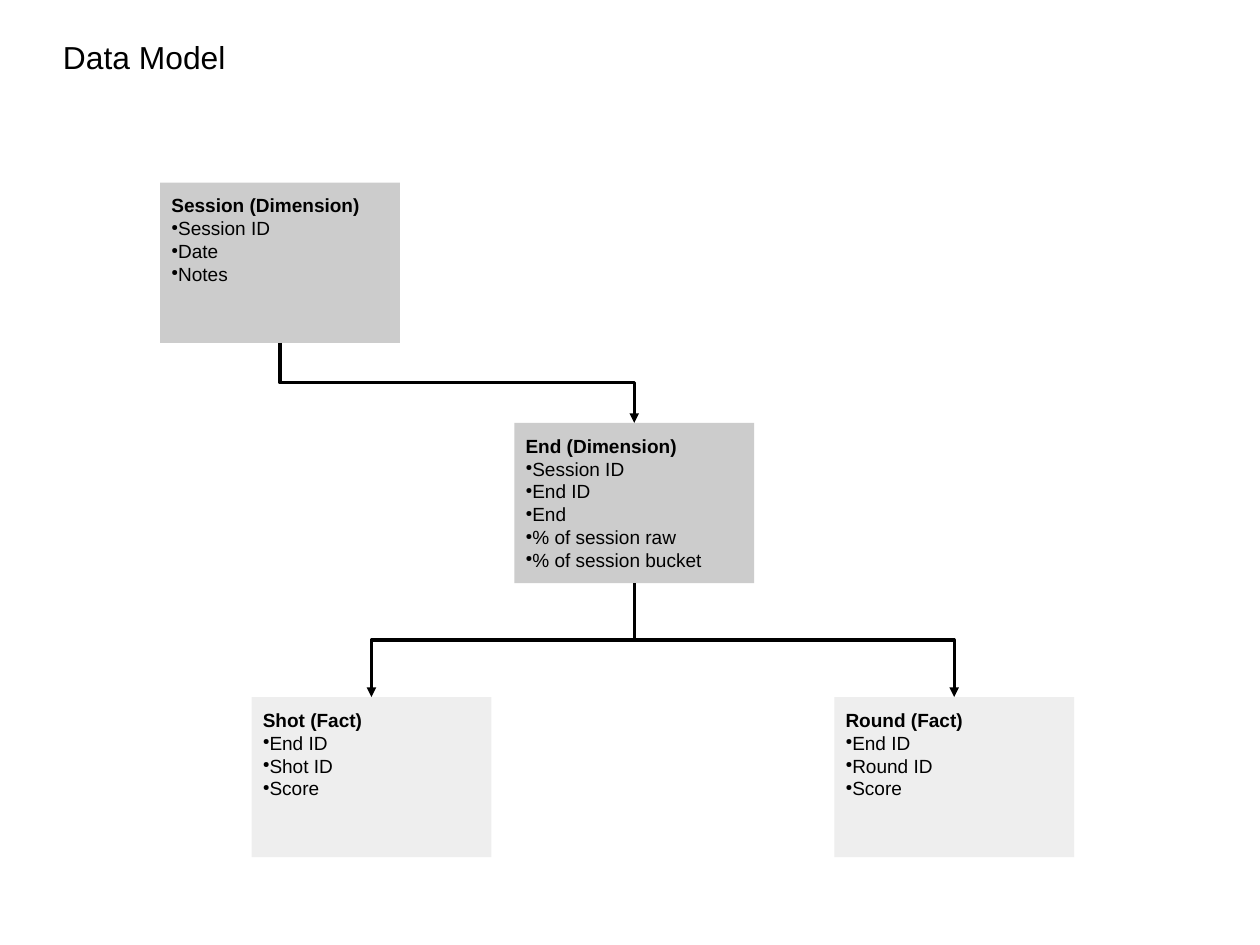
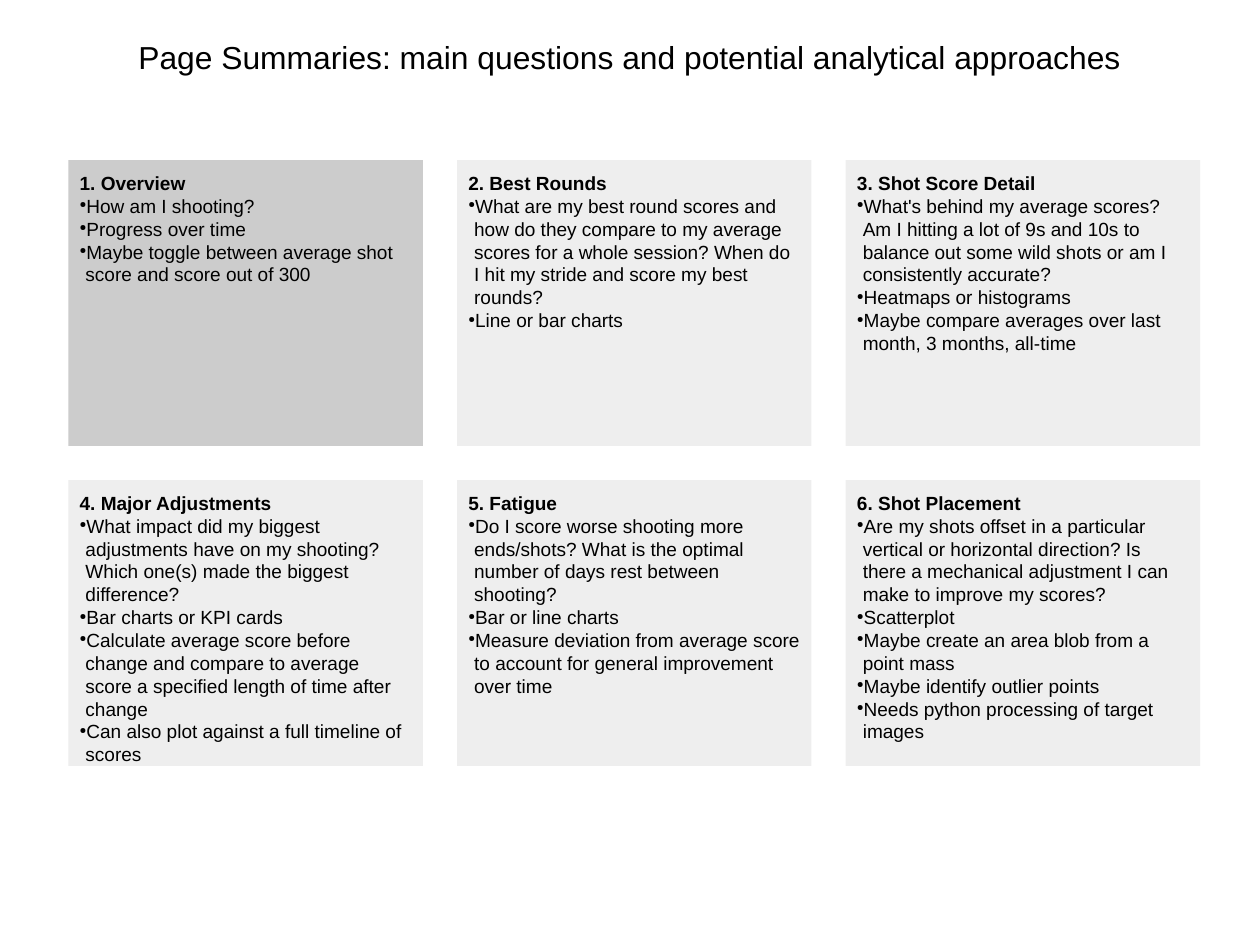
from lxml.etree import SubElement
from pptx import Presentation
from pptx.dml.color import RGBColor
from pptx.enum.shapes import MSO_CONNECTOR, MSO_SHAPE
from pptx.enum.text import MSO_ANCHOR, PP_ALIGN as ALIGN
from pptx.oxml.ns import qn
from pptx.util import Cm, Pt

FONT = "Arial"
BLACK, DARK_GREY, LIGHT_GREY = "000000", "CCCCCC", "EEEEEE"
SLIDE_SIZE = 28, 21
TITLE_BOX = 1.4, 0.84, 25.2, 3.5
INSET, HANGING = 0.25, 0.13
BOTTOM, TOP = 2, 0

# Data model: heading, fill, left, top, fields
ENTITY_SIZE = 5.33, 3.56
ENTITIES = {
    "Session": ("Session (Dimension)", DARK_GREY, 3.56, 4.06,
                ["Session ID", "Date", "Notes"]),
    "End": ("End (Dimension)", DARK_GREY, 11.43, 9.4,
            ["Session ID", "End ID", "End", "% of session raw",
             "% of session bucket"]),
    "Shot": ("Shot (Fact)", LIGHT_GREY, 5.59, 15.49,
             ["End ID", "Shot ID", "Score"]),
    "Round": ("Round (Fact)", LIGHT_GREY, 18.54, 15.49,
              ["End ID", "Round ID", "Score"]),
}
RELATIONS = [("Session", "End"), ("End", "Shot"), ("End", "Round")]

# Page summaries, in reading order
GRID_BOX = 1.52, 3.56, 25.15, 13.46
GRID_COLUMNS, GRID_ROWS, GRID_GAP = 3, 2, 0.76
PAGES = [
    ("Overview", ["How am I shooting?", "Progress over time",
                  "Maybe toggle between average shot score and score out of 300"]),
    ("Best Rounds", [
        "What are my best round scores and how do they compare to my average "
        "scores for a whole session? When do I hit my stride and score my best "
        "rounds?",
        "Line or bar charts"]),
    ("Shot Score Detail", [
        "What's behind my average scores? Am I hitting a lot of 9s and 10s to "
        "balance out some wild shots or am I consistently accurate?",
        "Heatmaps or histograms",
        "Maybe compare averages over last month, 3 months, all-time"]),
    ("Major Adjustments", [
        "What impact did my biggest adjustments have on my shooting? Which "
        "one(s) made the biggest difference?",
        "Bar charts or KPI cards",
        "Calculate average score before change and compare to average score a "
        "specified length of time after change",
        "Can also plot against a full timeline of scores"]),
    ("Fatigue", [
        "Do I score worse shooting more ends/shots? What is the optimal number "
        "of days rest between shooting?",
        "Bar or line charts",
        "Measure deviation from average score to account for general "
        "improvement over time"]),
    ("Shot Placement", [
        "Are my shots offset in a particular vertical or horizontal direction? "
        "Is there a mechanical adjustment I can make to improve my scores?",
        "Scatterplot",
        "Maybe create an area blob from a point mass",
        "Maybe identify outlier points",
        "Needs python processing of target images"]),
]


def color(hex_text):
    return RGBColor.from_string(hex_text)


def lengths(box):
    return [Cm(value) for value in box]


def add_bullet(paragraph):
    properties = paragraph._p.get_or_add_pPr()
    properties.set("marL", str(Cm(HANGING)))
    properties.set("indent", str(-Cm(HANGING)))
    bullet_color = SubElement(properties, qn("a:buClr"))
    SubElement(bullet_color, qn("a:srgbClr"), val=BLACK)
    SubElement(properties, qn("a:buSzPct"), val="45000")
    SubElement(properties, qn("a:buChar"), char="●")


def write(paragraph, text, size=12, bold=False, align=ALIGN.LEFT, bullet=False):
    paragraph.alignment = align
    if bullet:
        add_bullet(paragraph)
    run = paragraph.add_run()
    run.text = text
    run.font.name, run.font.size, run.font.bold = FONT, Pt(size), bold
    run.font.color.rgb = color(BLACK)


def prepare_frame(shape, inset):
    frame = shape.text_frame
    frame.word_wrap = True
    frame.vertical_anchor = MSO_ANCHOR.TOP
    frame.margin_left = frame.margin_right = Cm(inset)
    frame.margin_top = frame.margin_bottom = Cm(inset)
    return frame


def add_titled_slide(presentation, title, align=ALIGN.LEFT):
    slide = presentation.slides.add_slide(presentation.slide_layouts[6])
    frame = prepare_frame(slide.shapes.add_textbox(*lengths(TITLE_BOX)), 0)
    write(frame.paragraphs[0], title, size=20, align=align)
    return slide


def add_card(slide, box, heading, items, fill):
    card = slide.shapes.add_shape(MSO_SHAPE.RECTANGLE, *lengths(box))
    card.shadow.inherit = False
    card.fill.solid()
    card.fill.fore_color.rgb = color(fill)
    card.line.fill.background()
    frame = prepare_frame(card, INSET)
    write(frame.paragraphs[0], heading, bold=True)
    for item in items:
        write(frame.add_paragraph(), item, bullet=True)
    return card


def add_elbow_arrow(slide, parent, child):
    """Run down from the parent's bottom, across, and down to the child's top."""
    start_x, start_y = parent.left + parent.width // 2, parent.top + parent.height
    end_x, end_y = child.left + child.width // 2, child.top
    arrow = slide.shapes.add_connector(
        MSO_CONNECTOR.ELBOW, start_x, start_y, end_x, end_y)
    arrow.begin_connect(parent, BOTTOM)
    arrow.end_connect(child, TOP)

    # Turn the elbow a quarter so that it leaves and arrives vertically
    arrow.width, arrow.height = end_y - start_y, abs(end_x - start_x)
    arrow.left = (start_x + end_x - arrow.width) // 2
    arrow.top = (start_y + end_y - arrow.height) // 2
    goes_right = end_x > start_x
    properties = arrow.element.spPr
    transform = properties.find(qn("a:xfrm"))
    transform.set("rot", str((270 if goes_right else 90) * 60000))
    transform.set("flipH", "1" if goes_right else "0")
    transform.set("flipV", "0")

    arrow.line.color.rgb = color(BLACK)
    arrow.line.width = Pt(0)
    SubElement(properties.find(qn("a:ln")), qn("a:tailEnd"), type="triangle")
    SubElement(properties, qn("a:effectLst"))


def build_data_model(presentation):
    slide = add_titled_slide(presentation, "Data Model")
    cards = {}
    for name, (heading, fill, left, top, fields) in ENTITIES.items():
        cards[name] = add_card(
            slide, (left, top, *ENTITY_SIZE), heading, fields, fill)
    for parent, child in RELATIONS:
        add_elbow_arrow(slide, cards[parent], cards[child])


def add_page_grid(slide, box):
    left, top, width, height = box
    card_width = (width - GRID_GAP * (GRID_COLUMNS - 1)) / GRID_COLUMNS
    card_height = (height - GRID_GAP * (GRID_ROWS - 1)) / GRID_ROWS
    for index, (heading, items) in enumerate(PAGES):
        row, column = divmod(index, GRID_COLUMNS)
        card_box = (left + column * (card_width + GRID_GAP),
                    top + row * (card_height + GRID_GAP),
                    card_width, card_height)
        fill = DARK_GREY if index == 0 else LIGHT_GREY
        add_card(slide, card_box, f"{index + 1}. {heading}", items, fill)


def build_page_summaries(presentation):
    slide = add_titled_slide(
        presentation,
        "Page Summaries: main questions and potential analytical approaches",
        align=ALIGN.CENTER)
    add_page_grid(slide, GRID_BOX)


def main():
    presentation = Presentation()
    presentation.slide_width, presentation.slide_height = lengths(SLIDE_SIZE)
    build_data_model(presentation)
    build_page_summaries(presentation)
    presentation.save("out.pptx")


if __name__ == "__main__":
    main()
